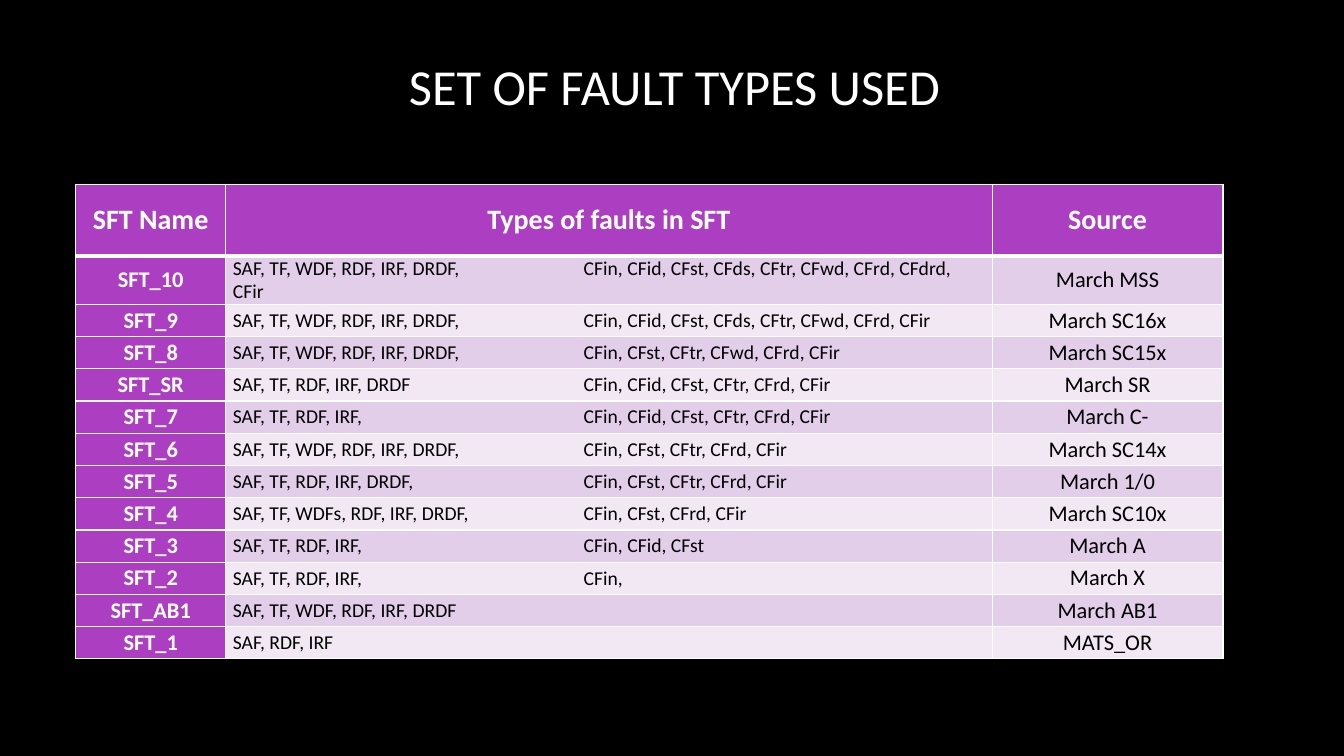
"""Build the slide that lists the sets of fault types and their sources."""
from dataclasses import dataclass

import lxml.etree
import pptx
import pptx.dml.color
import pptx.enum.text
import pptx.oxml.ns
import pptx.slide
import pptx.table
import pptx.text.text
import pptx.util

SLIDE_WIDTH = pptx.util.Inches(13.33)
SLIDE_HEIGHT = pptx.util.Inches(7.5)
GRID_COLUMNS, GRID_ROWS = 1333, 750
FONT = "Calibri"
COLORS = {
    "background": "000000",
    "title": "FFFFFF",
    "heading": "FFFFFF",
    "body": "000000",
    "border": "FFFFFF",
    "accent": "AC3EC1",
    "odd": "E3CEE9",
    "even": "F1E8F4",
}
COLUMN_WIDTHS = (149, 760, 229)
HEADER_HEIGHT, WRAPPED_HEIGHT, ROW_HEIGHT = 71, 48, 32
COUPLING_TAB = 348
CENTER = pptx.enum.text.PP_ALIGN.CENTER
LEFT = pptx.enum.text.PP_ALIGN.LEFT


@dataclass(frozen=True)
class FaultSet:
    name: str
    single_cell: str
    coupling: str
    source: str

    @property
    def faults(self) -> str:
        return f"{self.single_cell}\t{self.coupling}" if self.coupling else self.single_cell


HEADINGS = ("SFT Name", "Types of faults in SFT", "Source")
FAULT_SETS = (
    FaultSet("SFT_10", "SAF, TF, WDF, RDF, IRF, DRDF,",
             "CFin, CFid, CFst, CFds, CFtr, CFwd, CFrd, CFdrd, CFir", "March MSS"),
    FaultSet("SFT_9", "SAF, TF, WDF, RDF, IRF, DRDF,",
             "CFin, CFid, CFst, CFds, CFtr, CFwd, CFrd, CFir", "March SC16x"),
    FaultSet("SFT_8", "SAF, TF, WDF, RDF, IRF, DRDF,",
             "CFin, CFst, CFtr, CFwd, CFrd, CFir", "March SC15x"),
    FaultSet("SFT_SR", "SAF, TF, RDF, IRF, DRDF",
             "CFin, CFid, CFst, CFtr, CFrd, CFir", "March SR"),
    FaultSet("SFT_7", "SAF, TF, RDF, IRF,", "CFin, CFid, CFst, CFtr, CFrd, CFir", "March C-"),
    FaultSet("SFT_6", "SAF, TF, WDF, RDF, IRF, DRDF,",
             "CFin, CFst, CFtr, CFrd, CFir", "March SC14x"),
    FaultSet("SFT_5", "SAF, TF, RDF, IRF, DRDF,", "CFin, CFst, CFtr, CFrd, CFir", "March 1/0"),
    FaultSet("SFT_4", "SAF, TF, WDFs, RDF, IRF, DRDF,", "CFin, CFst, CFrd, CFir", "March SC10x"),
    FaultSet("SFT_3", "SAF, TF, RDF, IRF,", "CFin, CFid, CFst", "March A"),
    FaultSet("SFT_2", "SAF, TF, RDF, IRF,", "CFin,", "March X"),
    FaultSet("SFT_AB1", "SAF, TF, WDF, RDF, IRF, DRDF", "", "March AB1"),
    FaultSet("SFT_1", "SAF, RDF, IRF", "", "MATS_OR"),
)


def across(columns: float) -> int:
    return round(SLIDE_WIDTH * columns / GRID_COLUMNS)


def down(rows: float) -> int:
    return round(SLIDE_HEIGHT * rows / GRID_ROWS)


def color(name: str) -> pptx.dml.color.RGBColor:
    return pptx.dml.color.RGBColor.from_string(COLORS[name])


def write_text(frame: pptx.text.text.TextFrame, text: str, *, size: int, color_name: str,
               bold: bool = False, align: pptx.enum.text.PP_ALIGN = CENTER) -> None:
    paragraph = frame.paragraphs[0]
    paragraph.alignment = align
    run = paragraph.add_run()
    run.text = text
    run.font.name = FONT
    run.font.size = pptx.util.Pt(size)
    run.font.bold = bold
    run.font.color.rgb = color(color_name)


def add_tab_stop(paragraph: pptx.text.text._Paragraph, position: int) -> None:
    qn = pptx.oxml.ns.qn
    tab_list = lxml.etree.SubElement(paragraph._p.get_or_add_pPr(), qn("a:tabLst"))
    lxml.etree.SubElement(tab_list, qn("a:tab"), pos=str(position), algn="l")


def set_borders(cell: pptx.table._Cell, **widths: int) -> None:
    qn = pptx.oxml.ns.qn
    properties = cell._tc.get_or_add_tcPr()
    for index, side in enumerate("LRTB"):
        line = lxml.etree.Element(qn(f"a:ln{side}"), w=str(pptx.util.Pt(widths.get(side, 1))))
        fill = lxml.etree.SubElement(line, qn("a:solidFill"))
        lxml.etree.SubElement(fill, qn("a:srgbClr"), val=COLORS["border"])
        properties.insert(index, line)


def format_cell(cell: pptx.table._Cell, fill_name: str, **border_widths: int) -> None:
    cell.fill.solid()
    cell.fill.fore_color.rgb = color(fill_name)
    cell.vertical_anchor = pptx.enum.text.MSO_ANCHOR.MIDDLE
    cell.margin_left = cell.margin_right = across(7)
    cell.margin_top = cell.margin_bottom = 0
    set_borders(cell, **border_widths)


def add_title(slide: pptx.slide.Slide) -> None:
    title = slide.shapes.title
    title.left, title.top = across(93), down(31)
    title.width, title.height = across(1152), down(108)
    title.text_frame.vertical_anchor = pptx.enum.text.MSO_ANCHOR.MIDDLE
    title.text_frame.auto_size = pptx.enum.text.MSO_AUTO_SIZE.NONE
    write_text(title.text_frame, "SET OF FAULT TYPES USED", size=36, color_name="title")


def add_fault_table(slide: pptx.slide.Slide) -> None:
    heights = (HEADER_HEIGHT, WRAPPED_HEIGHT) + (ROW_HEIGHT,) * (len(FAULT_SETS) - 1)
    table = slide.shapes.add_table(
        len(heights), len(COLUMN_WIDTHS), across(75), down(183),
        across(sum(COLUMN_WIDTHS)), down(sum(heights))).table
    table.horz_banding = False
    for column, width in zip(table.columns, COLUMN_WIDTHS):
        column.width = across(width)
    for row, height in zip(table.rows, heights):
        row.height = down(height)

    for cell, heading in zip(table.rows[0].cells, HEADINGS):
        format_cell(cell, "accent", B=3)
        write_text(cell.text_frame, heading, size=20, color_name="heading", bold=True)

    for number, fault_set in enumerate(FAULT_SETS, start=1):
        name, faults, source = table.rows[number].cells
        band = "odd" if number % 2 else "even"
        top = 3 if number == 1 else 1
        for cell, fill_name in ((name, "accent"), (faults, band), (source, band)):
            format_cell(cell, fill_name, T=top)
        write_text(name.text_frame, fault_set.name, size=16, color_name="heading", bold=True)
        write_text(faults.text_frame, fault_set.faults, size=14, color_name="body", align=LEFT)
        write_text(source.text_frame, fault_set.source, size=16, color_name="body")
        if fault_set.coupling:
            add_tab_stop(faults.text_frame.paragraphs[0], across(COUPLING_TAB))


def main() -> None:
    presentation = pptx.Presentation()
    presentation.slide_width, presentation.slide_height = SLIDE_WIDTH, SLIDE_HEIGHT
    slide = presentation.slides.add_slide(presentation.slide_layouts.get_by_name("Title Only"))
    slide.background.fill.solid()
    slide.background.fill.fore_color.rgb = color("background")
    add_fault_table(slide)
    add_title(slide)
    presentation.save("out.pptx")


if __name__ == "__main__":
    main()
